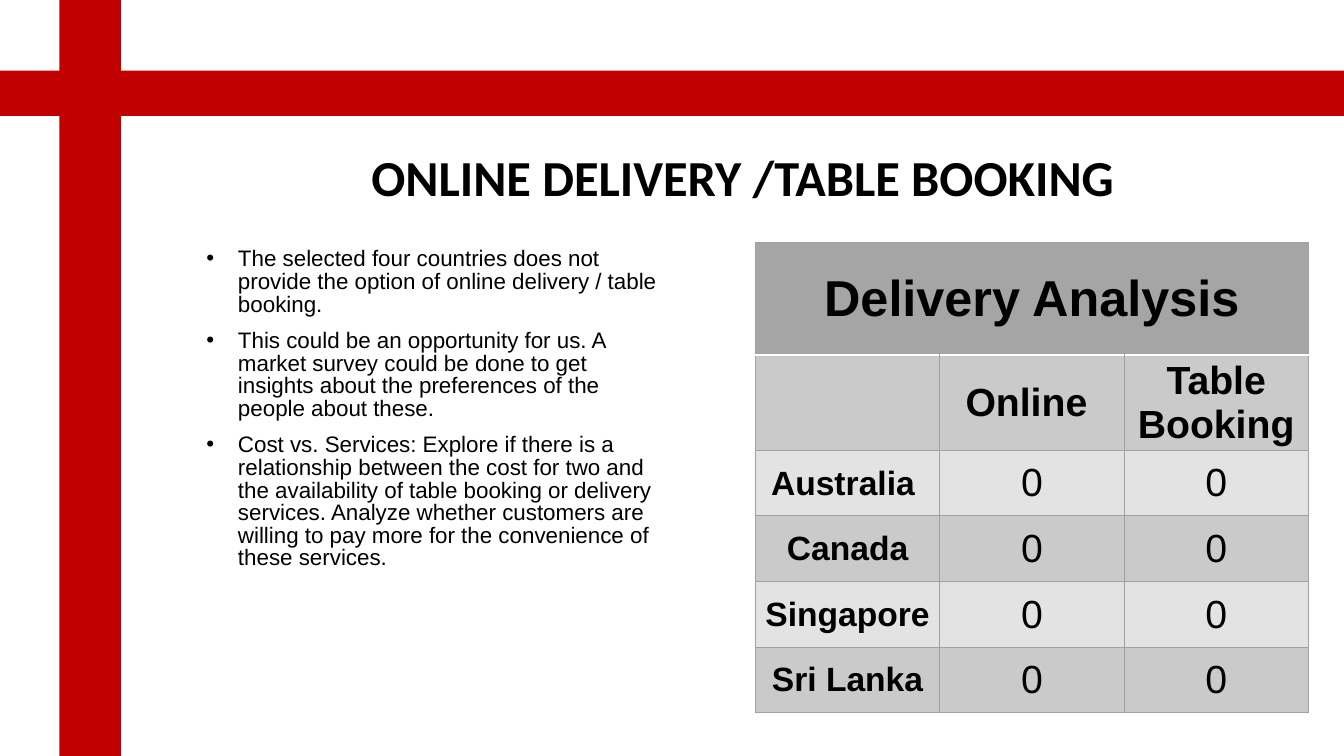
from lxml import etree
from pptx import Presentation
from pptx import util as u
from pptx.dml.color import RGBColor
from pptx.enum import shapes, text
from pptx.oxml import ns

COLORS = {"red": "C00000", "ink": "000000", "header": "A5A5A5", "dark": "CACACA",
          "light": "E3E3E3", "border": "A1A1A1", "rule": "FFFFFF"}

POINTS = [
    "The selected four countries does not provide the option of online delivery / table booking.",
    "This could be an opportunity for us. A market survey could be done to get insights about "
    "the preferences of the people about these.",
    "Cost vs. Services: Explore if there is a relationship between the cost for two and the "
    "availability of table booking or delivery services. Analyze whether customers are willing "
    "to pay more for the convenience of these services.",
]
DELIVERY = [
    ["Delivery Analysis", "", ""],
    ["", "Online ", "Table Booking"],
    ["Australia ", "0", "0"],
    ["Canada", "0", "0"],
    ["Singapore", "0", "0"],
    ["Sri Lanka", "0", "0"],
]


def write(paragraph, words, size, font="Arial", bold=False, align=text.PP_ALIGN.CENTER,
          spacing=1.0, before=0):
    paragraph.alignment = align
    paragraph.line_spacing = spacing
    paragraph.space_before = u.Pt(before)
    run = paragraph.add_run()
    run.text = words
    run.font.size, run.font.name, run.font.bold = u.Pt(size), font, bold
    run.font.color.rgb = RGBColor.from_string(COLORS["ink"])


class Deck:
    """Draws styled elements on the current slide."""

    def __init__(self, width, height):
        self.prs = Presentation()
        self.prs.slide_width, self.prs.slide_height = u.Pt(width), u.Pt(height)
        self.slide = self.prs.slides.add_slide(self.prs.slide_layouts[6])

    def band(self, *box):
        band = self.slide.shapes.add_shape(shapes.MSO_SHAPE.RECTANGLE, *map(u.Pt, box))
        band.shadow.inherit = False
        band.fill.solid()
        band.fill.fore_color.rgb = RGBColor.from_string(COLORS["red"])
        band.line.fill.background()

    def frame(self, box, anchor):
        frame = self.slide.shapes.add_textbox(*map(u.Pt, box)).text_frame
        frame.word_wrap = True
        frame.vertical_anchor = anchor
        return frame

    def title(self, words, box):
        frame = self.frame(box, text.MSO_ANCHOR.BOTTOM)
        write(frame.paragraphs[0], words, 36, font="Calibri", bold=True, spacing=0.9)

    def bullets(self, points, box):
        frame = self.frame(box, text.MSO_ANCHOR.TOP)
        for i, point in enumerate(points):
            paragraph = frame.add_paragraph() if i else frame.paragraphs[0]
            write(paragraph, point, 16, align=text.PP_ALIGN.LEFT, spacing=0.84,
                  before=10 if i else 0)
            properties = paragraph._p.get_or_add_pPr()
            properties.set("marL", str(u.Pt(22.5)))
            properties.set("indent", str(u.Pt(-22.5)))
            etree.SubElement(properties, ns.qn("a:buFont"), typeface="Arial")
            etree.SubElement(properties, ns.qn("a:buChar"), char="•")

    def borders(self, cell, below_header, above_body):
        properties = cell._tc.get_or_add_tcPr()
        for i, side in enumerate(("lnL", "lnR", "lnT", "lnB")):
            ruled = (side == "lnB" and below_header) or (side == "lnT" and above_body)
            line = etree.Element(ns.qn(f"a:{side}"), w=str(u.Pt(2 if ruled else 0.75)))
            fill = etree.SubElement(line, ns.qn("a:solidFill"))
            etree.SubElement(fill, ns.qn("a:srgbClr"), val=COLORS["rule" if ruled else "border"])
            properties.insert(i, line)

    def table(self, rows, box, heights):
        table = self.slide.shapes.add_table(len(rows), len(rows[0]), *map(u.Pt, box)).table
        for column in table.columns:
            column.width = u.Pt(box[2] / len(rows[0]))
        for r, (row, height) in enumerate(zip(rows, heights)):
            table.rows[r].height = u.Pt(height)
            shade = "header" if r == 0 else "dark" if r % 2 else "light"
            for c, words in enumerate(row):
                cell = table.cell(r, c)
                cell.fill.solid()
                cell.fill.fore_color.rgb = RGBColor.from_string(COLORS[shade])
                cell.vertical_anchor = text.MSO_ANCHOR.MIDDLE
                cell.margin_left = cell.margin_right = cell.margin_top = u.Pt(0.6)
                cell.margin_bottom = 0
                self.borders(cell, r == 0, r == 1)
                if words:
                    size = 36 if r == 0 else 24 if c == 0 else 28
                    write(cell.text_frame.paragraphs[0], words, size, bold=r < 2 or c == 0)
        table.cell(0, 0).merge(table.cell(0, len(rows[0]) - 1))


def main():
    deck = Deck(960, 540)
    deck.title("ONLINE DELIVERY /TABLE BOOKING", (185.8, 73.4, 689.8, 78.5))
    deck.bullets(POINTS, (140.4, 174.2, 339.1, 292.3))
    deck.band(42.5, 0, 44, 540)
    deck.band(0, 50.4, 960, 32.4)
    deck.table(DELIVERY, (539.6, 173.2, 395, 334), [80.5, 65.7] + [46.9] * 4)
    deck.prs.save("out.pptx")


if __name__ == "__main__":
    main()
